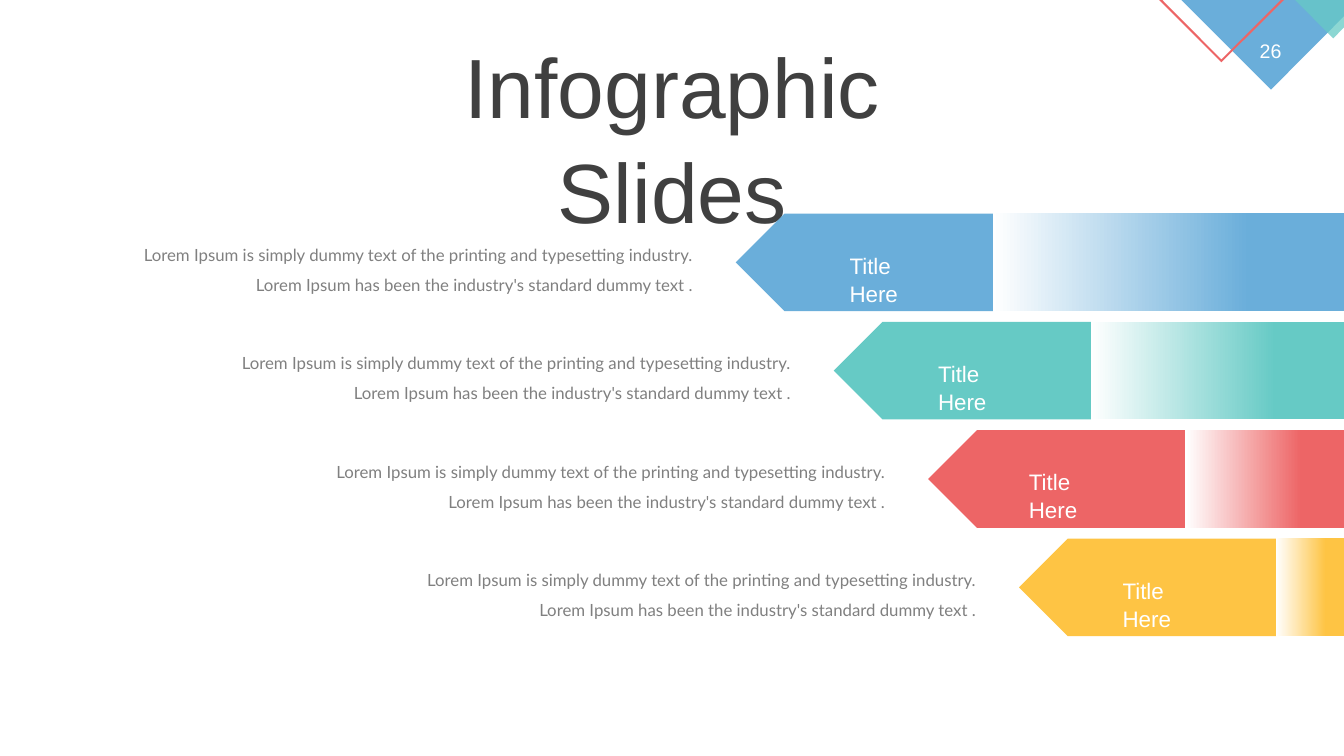
"""Build the infographic slide with four stepped arrow bands."""
from lxml import etree
from pptx import Presentation
from pptx.dml.color import RGBColor
from pptx.enum.shapes import MSO_SHAPE
from pptx.enum.text import MSO_ANCHOR, MSO_AUTO_SIZE, PP_ALIGN
from pptx.oxml.ns import qn
from pptx.util import Cm, Pt

PENTAGON, RECTANGLE = MSO_SHAPE.PENTAGON, MSO_SHAPE.RECTANGLE
LEFT, CENTER, RIGHT = PP_ALIGN.LEFT, PP_ALIGN.CENTER, PP_ALIGN.RIGHT
TOP = MSO_ANCHOR.TOP
NO_AUTOFIT = MSO_AUTO_SIZE.NONE

COLORS = {
    "blue": "6AAEDA",
    "teal": "66CAC5",
    "red": "ED6566",
    "yellow": "FEC444",
    "white": "FFFFFF",
    "title": "404040",
    "body": "808080",
}
TITLE = "Infographic Slides"
PAGE_NUMBER = "26"
CAPTION = "Title Here"
DESCRIPTION = (
    "Lorem Ipsum is simply dummy text of the printing and typesetting industry. "
    "Lorem Ipsum has been the industry's standard dummy text ."
)
# color, arrow left, caption left
BANDS = [
    ("blue", 18.54, 21.16),
    ("teal", 21.01, 23.39),
    ("red", 23.39, 25.68),
    ("yellow", 25.68, 28.04),
]
# color, opacity in percent, corners
CORNER_SHAPES = [
    ("blue", 100, [(29.77, 0), (33.87, 0), (33.87, 0.41), (32.03, 2.26)]),
    ("red", 100, [(29.21, 0), (29.29, 0), (30.78, 1.5), (32.28, 0), (32.36, 0), (30.78, 1.57)]),
    ("teal", 75, [(32.64, 0), (33.87, 0), (33.87, 0.69), (33.6, 0.97)]),
]
SLIDE_WIDTH, SLIDE_HEIGHT = 33.87, 19.05
BAND_TOP, BAND_PITCH, BAND_HEIGHT = 5.38, 2.73, 2.46
ARROW_WIDTH = 6.48
DESCRIPTION_OFFSET, DESCRIPTION_WIDTH = 14.94, 13.87


def rgb(name):
    return RGBColor.from_string(COLORS[name])


def write(shape, text, size, color, align, font="Arial", spacing=1.0, inset=(0.25, 0.13)):
    frame = shape.text_frame
    frame.text = text
    frame.word_wrap = True
    frame.auto_size = NO_AUTOFIT
    frame.vertical_anchor = TOP
    frame.margin_left = frame.margin_right = Cm(inset[0])
    frame.margin_top = frame.margin_bottom = Cm(inset[1])
    paragraph = frame.paragraphs[0]
    paragraph.alignment = align
    paragraph.line_spacing = spacing
    paragraph.font.size = Pt(size)
    paragraph.font.name = font
    paragraph.font.color.rgb = rgb(color)


def add_text(slide, box, *args, **options):
    write(slide.shapes.add_textbox(*map(Cm, box)), *args, **options)


def add_block(slide, kind, box):
    shape = slide.shapes.add_shape(kind, *map(Cm, box))
    shape.shadow.inherit = False
    shape.line.fill.background()
    return shape


def add_corner_shape(slide, color, opacity, corners):
    points = [(Cm(x), Cm(y)) for x, y in corners]
    builder = slide.shapes.build_freeform(*points[0])
    builder.add_line_segments(points[1:], close=True)
    shape = builder.convert_to_shape()
    shape.shadow.inherit = False
    shape.line.fill.background()
    shape.fill.solid()
    shape.fill.fore_color.rgb = rgb(color)
    if opacity < 100:
        tint = shape.fill._xPr.find(qn("a:solidFill"))[0]
        etree.SubElement(tint, qn("a:alpha")).set("val", str(opacity * 1000))


def add_band(slide, index, color, left, caption_left):
    top = BAND_TOP + index * BAND_PITCH
    arrow = add_block(slide, PENTAGON, (left, top, ARROW_WIDTH, BAND_HEIGHT))
    arrow.rotation = 180
    arrow.fill.solid()
    arrow.fill.fore_color.rgb = rgb(color)

    tail_left = left + ARROW_WIDTH
    tail = add_block(slide, RECTANGLE, (tail_left, top, SLIDE_WIDTH - tail_left, BAND_HEIGHT))
    tail.fill.gradient()
    tail.fill.gradient_angle = 0
    for stop, name, position in zip(tail.fill.gradient_stops, ("white", color), (0, 0.73)):
        stop.color.rgb = rgb(name)
        stop.position = position

    add_text(slide, (caption_left, top + 0.8, 2.82, 1.5), CAPTION, 16, "white", LEFT, spacing=1.05)
    add_text(slide, (left - DESCRIPTION_OFFSET, top + 0.53, DESCRIPTION_WIDTH, 1.45),
             DESCRIPTION, 12, "body", RIGHT, font="Lato", spacing=1.5, inset=(0, 0))


def main():
    presentation = Presentation()
    presentation.slide_width = Cm(SLIDE_WIDTH)
    presentation.slide_height = Cm(SLIDE_HEIGHT)
    slide = presentation.slides.add_slide(presentation.slide_layouts[5])

    for corner_shape in CORNER_SHAPES:
        add_corner_shape(slide, *corner_shape)
    add_text(slide, (31.32, 0.86, 1.4, 0.86), PAGE_NUMBER, 14, "white", CENTER)

    title = slide.shapes.title
    title.left, title.top, title.width, title.height = map(Cm, (8.43, 0.6, 17.02, 5))
    write(title, TITLE, 60, "title", CENTER, spacing=1.05)

    for index, band in enumerate(BANDS):
        add_band(slide, index, *band)
    presentation.save("out.pptx")


if __name__ == "__main__":
    main()
